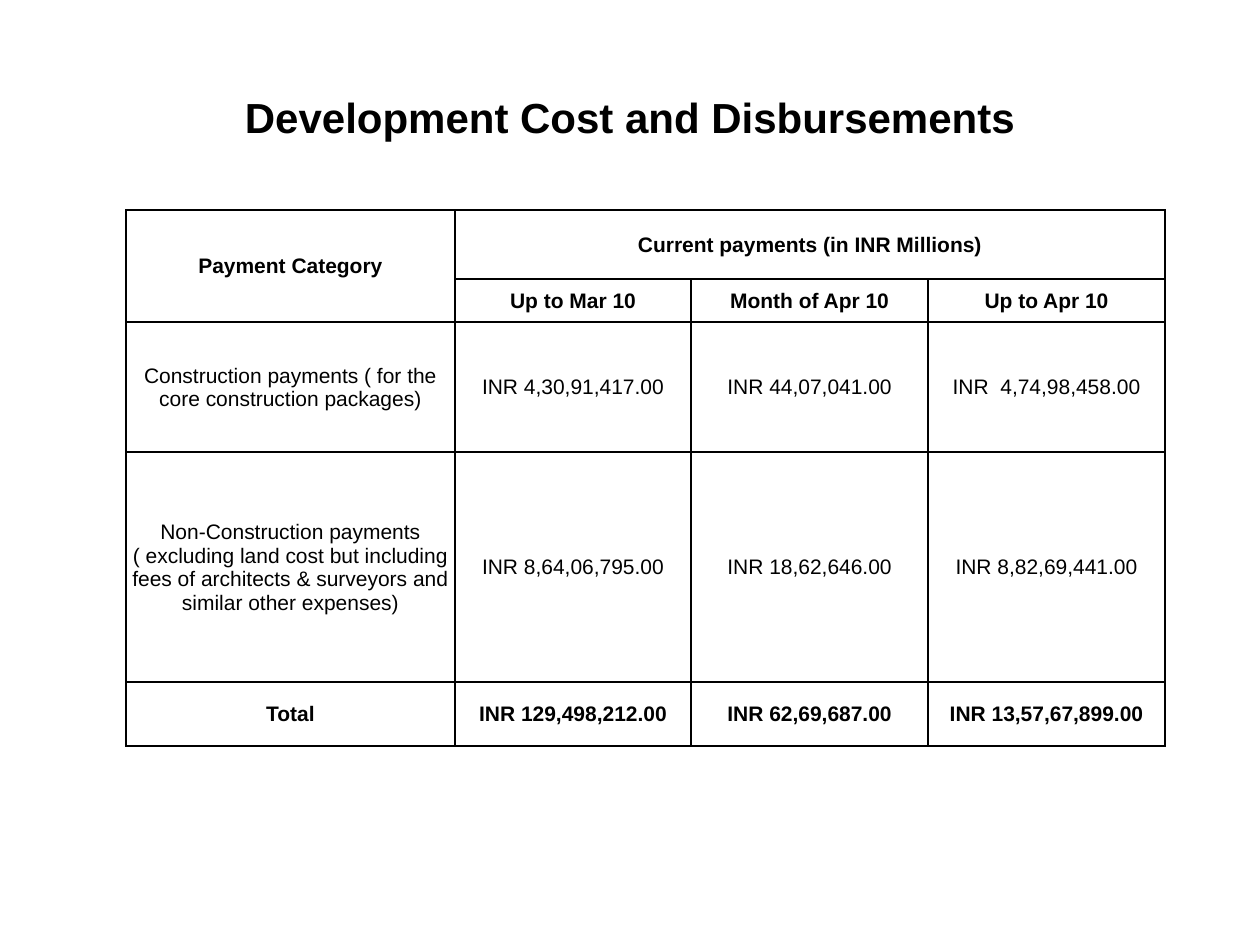
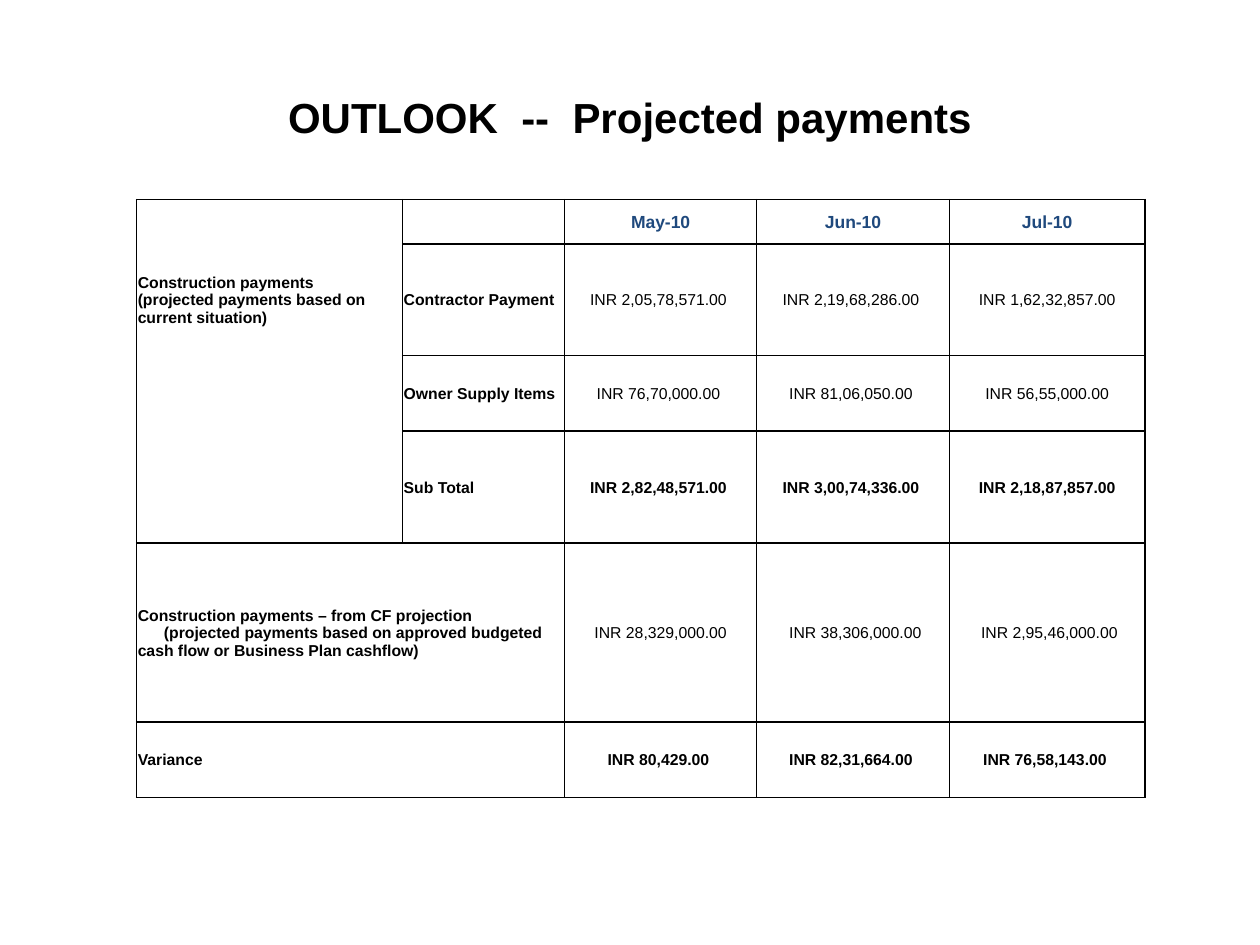
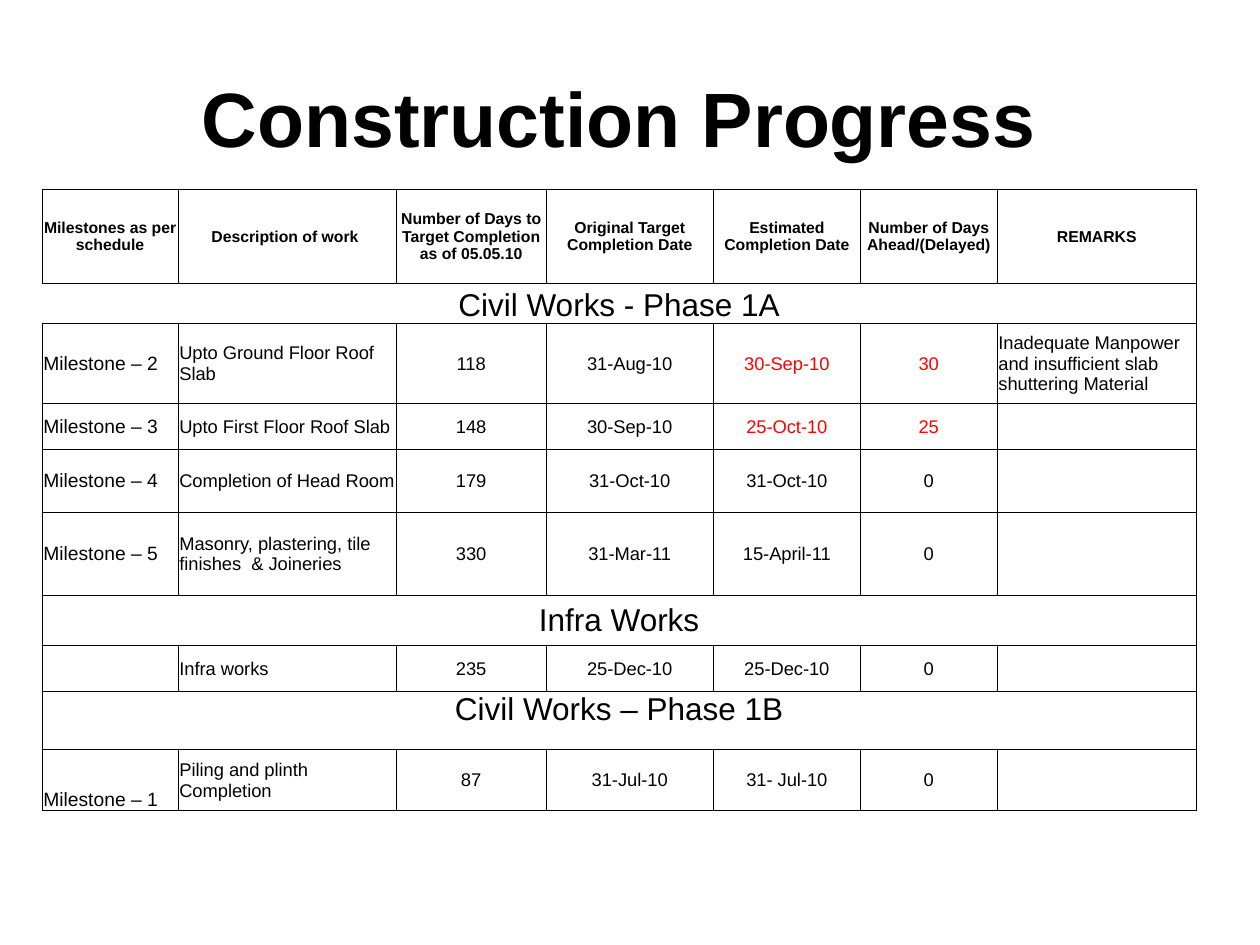
import pptx
import pptx.util
import pptx.dml.color
import pptx.enum.text
import pptx.oxml
import pptx.oxml.ns

Pt = pptx.util.Pt
RGB = pptx.dml.color.RGBColor
ALIGN = pptx.enum.text.PP_ALIGN
ANCHOR = pptx.enum.text.MSO_ANCHOR

BLACK = RGB(0x00, 0x00, 0x00)
NAVY = RGB(0x1F, 0x49, 0x7D)
RED = RGB(0xFF, 0x00, 0x00)
FONT = "Arial"


def style(size, bold=False, color=BLACK, align=ALIGN.CENTER, anchor=ANCHOR.MIDDLE):
    return {"font": {"name": FONT, "size": Pt(size), "bold": bold},
            "color": color, "align": align, "anchor": anchor}


LABEL = style(9, True, align=ALIGN.LEFT)
VALUE = style(9)
TOTAL = style(9, True)
MILESTONE = style(11, align=ALIGN.LEFT)
MILESTONE_LOW = style(11, align=ALIGN.LEFT, anchor=ANCHOR.BOTTOM)
WORK = style(10.5, align=ALIGN.LEFT)
DATE = style(10.5)
LATE = style(10.5, color=RED)

ROW_STYLES = {
    "cost head": [style(12, True)] * 4,
    "cost": [style(12)] * 4,
    "months": [LABEL] * 2 + [style(10, True, NAVY)] * 3,
    "payment": [LABEL] * 2 + [VALUE] * 3,
    "payment total": [LABEL] * 2 + [TOTAL] * 3,
    "progress head": [TOTAL] * 7,
    "phase": [style(18, anchor=ANCHOR.BOTTOM)] * 7,
    "phase middle": [style(18)] * 7,
    "phase top": [style(18, anchor=ANCHOR.TOP)] * 7,
    "on time": [MILESTONE, WORK] + [DATE] * 4 + [WORK],
    "late": [MILESTONE, WORK] + [DATE] * 2 + [LATE] * 2 + [WORK],
    "last": [MILESTONE_LOW, WORK] + [DATE] * 4 + [WORK],
}

SLIDES = [
    {
        "title": "Development Cost and Disbursements", "title_size": 24,
        "left": 72, "top": 120, "line": 1,
        "cols": [188, 135, 135.4, 135.4],
        "rows": [
            (39.4, "cost head", ["Payment Category", "Current payments (in INR Millions)"]),
            (24.6, "cost head", ["", "Up to Mar 10", "Month of Apr 10", "Up to Apr 10"]),
            (74.3, "cost", ["Construction payments ( for the core construction packages)",
                            "INR 4,30,91,417.00", "INR 44,07,041.00", "INR  4,74,98,458.00"]),
            (131.4, "cost", ["Non-Construction payments ( excluding land cost but including "
                             "fees of architects & surveyors and similar other expenses)",
                             "INR 8,64,06,795.00", "INR 18,62,646.00", "INR 8,82,69,441.00"]),
            (36.6, "cost head", ["Total", "INR 129,498,212.00", "INR 62,69,687.00",
                                 "INR 13,57,67,899.00"]),
        ],
        "merged": [(0, 0, 1, 0), (0, 1, 0, 3)],
    },
    {
        "title": "OUTLOOK  --  Projected payments", "title_size": 24,
        "left": 78, "top": 114, "line": 1,
        "cols": [152, 92.6, 109.8, 110.2, 111.6],
        "rows": [
            (25.3, "months", ["", "", "May-10", "Jun-10", "Jul-10"]),
            (64, "payment", ["Construction payments\n(projected payments based on current situation)",
                             "Contractor Payment", "INR 2,05,78,571.00 ",
                             "INR 2,19,68,286.00 ", "INR 1,62,32,857.00"]),
            (43, "payment", ["", "Owner Supply Items", "INR 76,70,000.00 ",
                             "INR 81,06,050.00 ", "INR 56,55,000.00"]),
            (64.2, "payment total", ["", "Sub Total", "INR 2,82,48,571.00 ",
                                     "INR 3,00,74,336.00 ", "INR 2,18,87,857.00"]),
            (102.2, "payment", ["Construction payments – from CF projection\n"
                                "(projected payments based on approved budgeted "
                                "cash flow or Business Plan cashflow)", "",
                                "INR 28,329,000.00", " INR 38,306,000.00", " INR 2,95,46,000.00"]),
            (43.2, "payment total", ["Variance", "", "INR 80,429.00 ",
                                     "INR 82,31,664.00 ", "INR 76,58,143.00 "]),
        ],
        "merged": [(4, 0, 4, 1), (5, 0, 5, 1)],
        "joined": [(0, 0, 3, 0)],
        "indents": {(4, 0): 15},
    },
    {
        "title": "Construction Progress ", "title_size": 44,
        "left": 24, "top": 108, "line": 0.5,
        "cols": [77.8, 124.6, 85.7, 95.6, 84, 78.2, 113.8],
        "rows": [
            (53.8, "progress head", ["Milestones as per schedule", "Description of work ",
                                     "Number of Days to Target Completion as of 05.05.10",
                                     "Original Target Completion Date", "Estimated Completion Date",
                                     "Number of Days Ahead/(Delayed)", "REMARKS"]),
            (22.9, "phase", ["Civil Works - Phase 1A"]),
            (45.7, "late", ["Milestone – 2", "Upto Ground Floor Roof Slab", "118", "31-Aug-10",
                            "30-Sep-10", "30",
                            "Inadequate Manpower and insufficient slab shuttering Material"]),
            (26.3, "late", ["Milestone – 3", "Upto First Floor Roof Slab", "148", "30-Sep-10",
                            "25-Oct-10", "25"]),
            (36, "on time", ["Milestone – 4", "Completion of Head Room", "179", "31-Oct-10",
                             "31-Oct-10", "0"]),
            (47.4, "on time", ["Milestone – 5", "Masonry, plastering, tile finishes  & Joineries",
                               "330", "31-Mar-11", "15-April-11", "0"]),
            (28.6, "phase middle", ["Infra Works"]),
            (26.3, "on time", ["", "Infra works", "235", "25-Dec-10", "25-Dec-10", "0"]),
            (33.1, "phase top", ["Civil Works – Phase 1B"]),
            (35.4, "last", ["Milestone – 1", "Piling and plinth Completion", "87", "31-Jul-10",
                            "31- Jul-10", "0"]),
        ],
        "merged": [(row, 0, row, 6) for row in (1, 6, 8)],
        "open": {(1, 0): "L"},
    },
]

TITLE_BOX = (36, 21.6, 648, 90)
MARGINS = {"margin_left": Pt(0.72), "margin_right": Pt(0.72),
           "margin_top": Pt(0.72), "margin_bottom": Pt(0)}
PLAIN_TABLE = {"first_row": False, "horz_banding": False}


def set_all(obj, values):
    for name, value in values.items():
        setattr(obj, name, value)


def write(tf, text, fmt, indent=0):
    for i, line in enumerate(text.split("\n")):
        p = tf.add_paragraph() if i else tf.paragraphs[0]
        p.alignment = fmt["align"]
        if i and indent:
            p._p.get_or_add_pPr().set("indent", str(Pt(indent)))
        if line:
            r = p.add_run()
            r.text = line
            set_all(r.font, fmt["font"])
            r.font.color.rgb = fmt["color"]


def add_title(s, text, size):
    tf = s.shapes.add_textbox(*map(Pt, TITLE_BOX)).text_frame
    set_all(tf, {"word_wrap": True, "vertical_anchor": ANCHOR.MIDDLE})
    write(tf, text, style(size, True))


def inner_sides(row, col, regions):
    sides = ""
    for top, left, bottom, right in regions:
        if top <= row <= bottom and left <= col <= right:
            sides += "L" * (col > left) + "R" * (col < right)
            sides += "T" * (row > top) + "B" * (row < bottom)
    return sides


def set_borders(cell, width, hidden):
    tc_pr = cell._tc.get_or_add_tcPr()
    for i, side in enumerate("LRTB"):
        fill = "<a:noFill/>" if side in hidden else (
            f'<a:solidFill><a:srgbClr val="{BLACK}"/></a:solidFill>')
        tc_pr.insert(i, pptx.oxml.parse_xml(
            f'<a:ln{side} {pptx.oxml.ns.nsdecls("a")} w="{Pt(width)}">{fill}</a:ln{side}>'))


def add_grid(s, data):
    cols, rows = data["cols"], data["rows"]
    size = (sum(cols), sum(row[0] for row in rows))
    table = s.shapes.add_table(len(rows), len(cols), Pt(data["left"]), Pt(data["top"]),
                               *map(Pt, size)).table
    set_all(table, PLAIN_TABLE)
    for column, width in zip(table.columns, cols):
        column.width = Pt(width)
    for top, left, bottom, right in data["merged"]:
        table.cell(top, left).merge(table.cell(bottom, right))
    regions = data["merged"] + data.get("joined", [])
    for i, (height, kind, texts) in enumerate(rows):
        table.rows[i].height = Pt(height)
        for j, fmt in enumerate(ROW_STYLES[kind]):
            cell = table.cell(i, j)
            set_all(cell, MARGINS)
            cell.vertical_anchor = fmt["anchor"]
            cell.fill.background()
            hidden = "" if cell.is_merge_origin else inner_sides(i, j, regions)
            set_borders(cell, data["line"], hidden + data.get("open", {}).get((i, j), ""))
            text = texts[j] if j < len(texts) else ""
            write(cell.text_frame, text, fmt, data.get("indents", {}).get((i, j), 0))


def main():
    prs = pptx.Presentation()
    set_all(prs, {"slide_width": Pt(720), "slide_height": Pt(540)})
    for data in SLIDES:
        s = prs.slides.add_slide(prs.slide_layouts[6])
        add_title(s, data["title"], data["title_size"])
        add_grid(s, data)
    prs.save("out.pptx")


if __name__ == "__main__":
    main()
